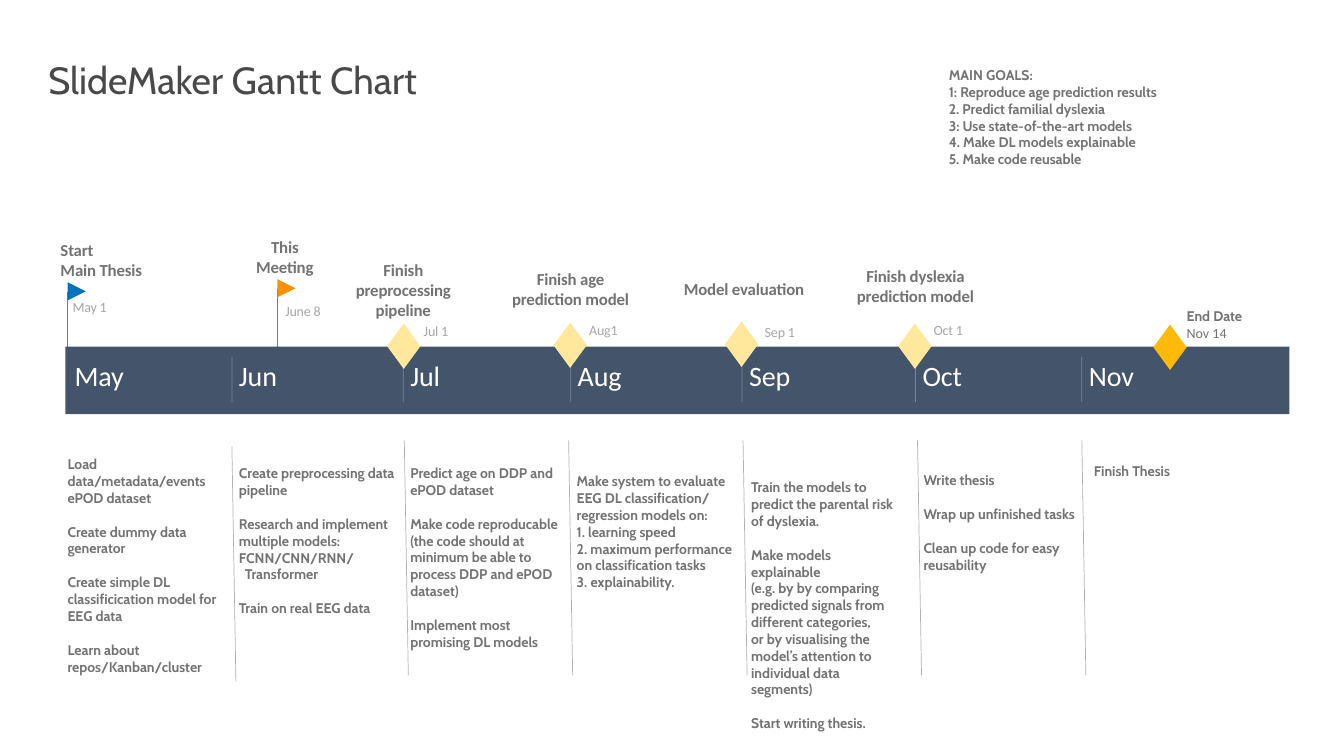
from pptx import Presentation
from pptx.util import Inches, Pt
from pptx.dml.color import RGBColor
from pptx.enum.shapes import MSO_SHAPE, MSO_CONNECTOR
from pptx.enum.text import MSO_ANCHOR, PP_ALIGN
from pptx.oxml.ns import qn
from lxml.etree import SubElement

HUES = {
    "navy": "44546A", "white": "FFFFFF", "black": "000000", "title": "494949",
    "text": "737373", "date": "A6A6A6", "pole": "418AB3", "blue": "0072BC",
    "orange": "F69200", "pale": "FFE79B", "gold": "FEBA0A",
}
# Style: font values, colour, letter spacing
STYLES = {
    "title": ({"name": "Cabin", "size": Pt(27)}, "title", 0),
    "month": ({"name": "Calibri", "size": Pt(20)}, "white", -10),
    "head": ({"name": "Calibri", "size": Pt(12), "bold": True}, "text", -10),
    "date": ({"name": "Calibri", "size": Pt(10)}, "date", -10),
    "end": ({"name": "Calibri", "size": Pt(10)}, "text", 0),
    "body": ({"name": "Cabin", "size": Pt(10), "bold": True}, "text", 0),
}
GAP = Pt(12.15)
INDENT = {"Transformer": Inches(0.06)}

# Month, left edge, divider left and top, task box, task groups
MONTHS = [
    ("May", 0.67, None, (0.67, 4.52, 1.59, 2.2), [
        ["Load data/metadata/events ePOD dataset"],
        ["Create dummy data generator"],
        ["Create simple DL classificication model for EEG data"],
        ["Learn about repos/Kanban/cluster"]]),
    ("Jun", 2.3, (2.3, 4.43), (2.37, 4.61, 1.63, 1.55), [
        ["Create preprocessing data pipeline"],
        ["Research and implement multiple models:", "FCNN/CNN/RNN/", "Transformer"],
        ["Train on real EEG data"]]),
    ("Jul", 4, (4.01, 4.37), (4.07, 4.61, 1.51, 1.86), [
        ["Predict age on DDP and ePOD dataset"],
        ["Make code reproducable (the code should at minimum be able to "
         "process DDP and ePOD dataset)"],
        ["Implement most promising DL models"]]),
    ("Aug", 5.66, (5.64, 4.37), (5.72, 4.69, 1.63, 1.2), [
        ["Make system to evaluate EEG DL classification/ regression models on:",
         "1. learning speed",
         "2. maximum performance on classification tasks",
         "3. explainability."]]),
    ("Sep", 7.36, (7.37, 4.37), (7.45, 4.75, 1.51, 2.2), [
        ["Train the models to predict the parental risk of dyslexia."],
        ["Make models explainable",
         "(e.g. by by comparing predicted signals from different categories,",
         "or by visualising the model’s attention to individual data segments)"],
        ["Start writing thesis."]]),
    ("Oct", 9.08, (9.1, 4.37), (9.16, 4.68, 1.54, 1.02), [
        ["Write thesis"], ["Wrap up unfinished tasks"],
        ["Clean up code for easy reusability"]]),
    ("Nov", 10.73, (10.73, 4.37), (10.85, 4.59, 1.51, 0.17), [["Finish Thesis"]]),
]
# Flag box, colour, head, head box, alignment, date, date box
FLAGS = [
    ((0.67, 2.8, 0.18, 0.65), "blue", ["Start", "Main Thesis"],
     (0.6, 2.4, 1.09, 0.35), "LEFT", "May 1", (0.72, 2.96, 0.43, 0.17)),
    ((2.75, 2.77, 0.18, 0.68), "orange", ["This Meeting"],
     (2.42, 2.37, 0.81, 0.35), "CENTER", "June 8", (2.83, 3, 0.43, 0.17)),
]
# Diamond left and top, head, head box, date, date left and top
GOALS = [
    ((3.84, 3.21), ["Finish preprocessing pipeline"], (3.41, 2.71, 1.18, 0.33),
     "Jul 1", (4.16, 3.2)),
    ((5.49, 3.2), ["Finish age", "prediction model"], (4.93, 2.56, 1.46, 0.61),
     "Aug1", (5.82, 3.19)),
    ((7.19, 3.19), ["Model evaluation"], (6.65, 2.6, 1.46, 0.53),
     "Sep 1", (7.57, 3.21)),
    ((8.91, 3.21), ["Finish dyslexia prediction model"], (8.35, 2.56, 1.46, 0.55),
     "Oct 1", (9.24, 3.19)),
]


def hue(name):
    return RGBColor.from_string(HUES[name])


def write(slide, box, groups, style, align="LEFT", anchor="MIDDLE"):
    """Groups of paragraphs, one line of space between groups."""
    font, tint, track = STYLES[style]
    frame = slide.shapes.add_textbox(*map(Inches, box)).text_frame
    layout = {"word_wrap": True, "vertical_anchor": getattr(MSO_ANCHOR, anchor),
              "margin_left": 0, "margin_top": 0, "margin_right": 0, "margin_bottom": 0}
    for key, value in layout.items():
        setattr(frame, key, value)
    lines = [(text, g > 0 and i == 0)
             for g, group in enumerate(groups) for i, text in enumerate(group)]
    for n, (text, gap) in enumerate(lines):
        para = frame.add_paragraph() if n else frame.paragraphs[0]
        para.alignment = getattr(PP_ALIGN, align)
        if gap:
            para.space_before = GAP
        if text in INDENT:
            para._p.get_or_add_pPr().set("marL", str(INDENT[text]))
        run = para.add_run()
        run.text = text
        for key, value in font.items():
            setattr(run.font, key, value)
        run.font.color.rgb = hue(tint)
        if track:
            run._r.get_or_add_rPr().set("spc", str(track))


def block(slide, kind, box, tint):
    shape = slide.shapes.add_shape(kind, *map(Inches, box))
    shape.shadow.inherit = False
    shape.fill.solid()
    shape.fill.fore_color.rgb = hue(tint)
    shape.line.fill.background()
    return shape


def rule(slide, start, end, tint, width, alpha=None):
    line = slide.shapes.add_connector(MSO_CONNECTOR.STRAIGHT, *map(Inches, start + end))
    line.line.color.rgb = hue(tint)
    line.line.width = Pt(width)
    props = line._element.spPr
    if alpha:
        color = props.find(".//" + qn("a:srgbClr"))
        SubElement(color, qn("a:alpha")).set("val", str(alpha * 1000))
    SubElement(props, qn("a:effectLst"))


def draw_flag(slide, box, tint):
    x, y, size, height = box
    rule(slide, (x, y + 0.1), (x, y + height), "pole", 0.75)
    block(slide, MSO_SHAPE.FLOWCHART_MERGE, (x, y, size, size), tint).rotation = 270


def draw_band(slide, box):
    x, y, width, height = box
    block(slide, MSO_SHAPE.RECTANGLE, box, "navy")
    for name, left, *rest in MONTHS:
        if left > x + 0.1:
            rule(slide, (left, y + 0.1), (left, y + 0.55), "white", 0.5, 30)
        write(slide, (left + 0.07, y + 0.15, 0.6, 0.27), [[name]], "month")


def draw_tasks(slide, box, edge, groups):
    if edge:
        x, y = edge
        rule(slide, edge, (x + 0.04, y + 2.33), "black", 0.5, 30)
    write(slide, box, groups, "body", anchor="TOP")


def draw_goal(slide, spot, tint):
    block(slide, MSO_SHAPE.DIAMOND, spot + (0.33, 0.45), tint)


def main():
    deck = Presentation()
    deck.slide_width, deck.slide_height = Inches(13.33), Inches(7.5)
    slide = deck.slides.add_slide(deck.slide_layouts[6])

    # Title and main goals
    write(slide, (0.48, 0.34, 5.17, 0.67), [["SlideMaker Gantt Chart"]],
          "title", anchor="BOTTOM")
    write(slide, (9.41, 0.66, 2.99, 1.02), [[
        "MAIN GOALS:", "1: Reproduce age prediction results",
        "2. Predict familial dyslexia", "3: Use state-of-the-art models",
        "4. Make DL models explainable", "5. Make code reusable"]],
        "body", anchor="TOP")

    # Flags above the month band
    for box, tint, head, place, align, date, spot in FLAGS:
        draw_flag(slide, box, tint)
        write(slide, place, [head], "head", align)
        write(slide, spot, [[date]], "date")
    draw_band(slide, (0.65, 3.44, 12.14, 0.67))

    # Milestones
    for spot, head, place, date, corner in GOALS:
        draw_goal(slide, spot, "pale")
        write(slide, place, [head], "head", "CENTER")
        write(slide, corner + (0.33, 0.17), [[date]], "date", "CENTER")
    draw_goal(slide, (11.44, 3.22), "gold")
    write(slide, (11.77, 3.04, 0.63, 0.18), [["End Date"]], "body")
    write(slide, (11.77, 3.22, 0.57, 0.17), [["Nov 14"]], "end")

    # Tasks under each month
    for name, left, edge, box, groups in MONTHS:
        draw_tasks(slide, box, edge, groups)

    deck.save("out.pptx")


if __name__ == "__main__":
    main()
